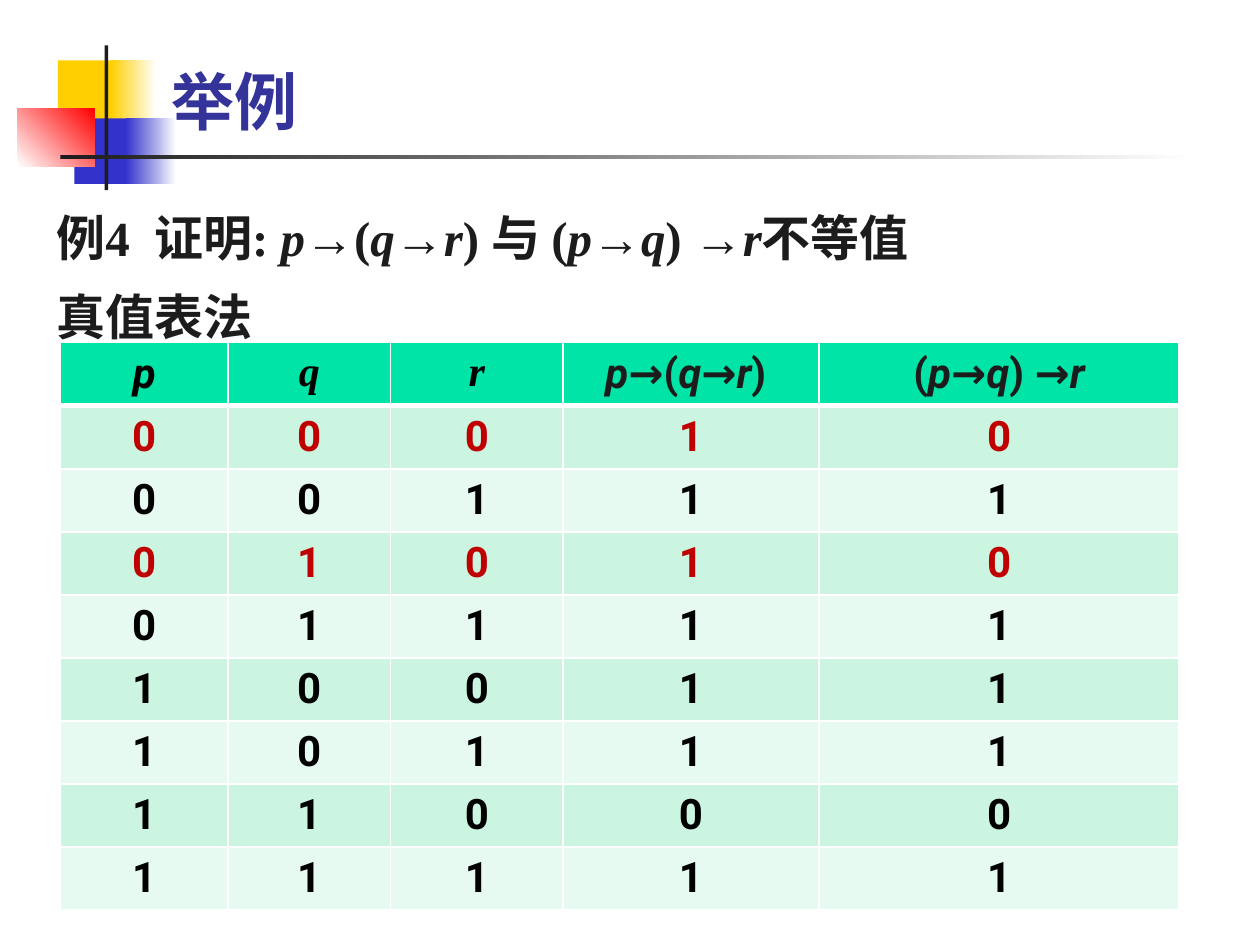
from dataclasses import dataclass
from itertools import groupby, product

from lxml import etree
from pptx import Presentation
from pptx.dml.color import RGBColor
from pptx.enum import shapes, text
from pptx.oxml import ns
from pptx.util import Inches, Pt


@dataclass(frozen=True)
class Theme:
    """Colours, fonts and type sizes of the slide."""
    yellow: str = "FFCF01"
    blue: str = "3333CC"
    red: str = "FF0000"
    white: str = "FFFFFF"
    ink: str = "1C1C1C"
    black: str = "000000"
    heading: str = "333399"
    highlight: str = "C00000"
    header: str = "00E4A8"
    bands: tuple[str, str] = ("CCF5E1", "E7FAF1")
    sans: str = "Roboto"
    serif: str = "Times New Roman"
    title_size: int = 36
    body_size: int = 28
    table_size: int = 24


@dataclass(frozen=True)
class Block:
    """A decorative rectangle, solid or fading to a second colour."""
    left: float
    top: float
    width: float
    height: float
    colour: str
    fade_to: str | None = None
    angle: int = 0


@dataclass(frozen=True)
class Heading:
    """A column of the truth table."""
    formula: str
    width: float
    font: str
    colour: str


THEME = Theme()
VARIABLES = "pqr"
ROW_HEIGHT = 0.49
BLOCKS = (
    Block(0.46, 0.48, 0.48, 0.52, THEME.yellow),
    Block(0.88, 0.48, 0.36, 0.52, THEME.yellow, THEME.white),
    Block(0.59, 0.94, 0.46, 0.52, THEME.blue),
    Block(1.0, 0.94, 0.4, 0.52, THEME.blue, THEME.white),
    Block(0.14, 0.86, 0.61, 0.46, THEME.white, THEME.red, 45),
    Block(0.83, 0.36, 0.03, 1.15, THEME.ink),
    Block(0.48, 1.23, 9, 0.03, THEME.ink, THEME.white),
)
HEADINGS = (
    Heading("p", 1.33, THEME.sans, THEME.black),
    Heading("q", 1.29, THEME.serif, THEME.black),
    Heading("r", 1.37, THEME.serif, THEME.black),
    Heading("p→(q→r) ", 2.03, THEME.sans, THEME.ink),
    Heading("(p→q) →r", 2.86, THEME.sans, THEME.ink),
)
STATEMENTS = ("例4  证明: p→(q→r) 与 (p→q) →r不等值", "真值表法")


def rgb(colour: str) -> RGBColor:
    """Turn a hex string into a colour."""
    return RGBColor.from_string(colour)


def add_formula(paragraph, formula: str, font: str, size: int, colour: str) -> None:
    """Add bold runs, with the propositional variables in italics."""
    for is_variable, letters in groupby(formula, lambda letter: letter in VARIABLES):
        run = paragraph.add_run()
        run.text = "".join(letters)
        run.font.name, run.font.size = font, Pt(size)
        run.font.bold, run.font.italic = True, is_variable
        run.font.color.rgb = rgb(colour)


def draw_block(slide, block: Block) -> None:
    """Draw one decorative rectangle."""
    shape = slide.shapes.add_shape(
        shapes.MSO_SHAPE.RECTANGLE, Inches(block.left), Inches(block.top),
        Inches(block.width), Inches(block.height))
    shape.shadow.inherit = False
    shape.line.fill.background()
    if block.fade_to is None:
        shape.fill.solid()
        shape.fill.fore_color.rgb = rgb(block.colour)
        return
    shape.fill.gradient()
    shape.fill.gradient_angle = block.angle
    for stop, colour in zip(shape.fill.gradient_stops, (block.colour, block.fade_to)):
        stop.color.rgb = rgb(colour)


def draw_title(slide, wording: str) -> None:
    """Place the title in front of the decoration."""
    title = slide.shapes.title
    title.left, title.top = Inches(1.26), Inches(0.08)
    title.width, title.height = Inches(8.52), Inches(1.07)
    frame = title.text_frame
    frame.vertical_anchor = text.MSO_ANCHOR.BOTTOM
    frame.paragraphs[0].alignment = text.PP_ALIGN.LEFT
    add_formula(frame.paragraphs[0], wording, THEME.sans, THEME.title_size, THEME.heading)
    title.element.getparent().append(title.element)


def draw_statements(slide) -> None:
    """Write the claim and the method above the table."""
    frame = slide.shapes.add_textbox(
        Inches(0.35), Inches(1.55), Inches(9.29), Inches(1.5)).text_frame
    frame.word_wrap = True
    for index, statement in enumerate(STATEMENTS):
        paragraph = frame.add_paragraph() if index else frame.paragraphs[0]
        paragraph.line_spacing = 1.1
        properties = paragraph._p.get_or_add_pPr()
        properties.set("marL", str(Inches(0.28)))
        properties.set("indent", str(Inches(-0.28)))
        before = etree.SubElement(properties, ns.qn("a:spcBef"))
        etree.SubElement(before, ns.qn("a:spcPct"), val="30000")
        add_formula(paragraph, statement, THEME.serif, THEME.body_size, THEME.ink)


def style_cell(cell, fill: str, top: int, bottom: int) -> None:
    """Give a cell its white borders, in points, and its fill."""
    properties = cell._tc.get_or_add_tcPr()
    for side, weight in (("L", 1), ("R", 1), ("T", top), ("B", bottom)):
        line = etree.SubElement(properties, ns.qn(f"a:ln{side}"), w=str(Pt(weight)))
        solid = etree.SubElement(line, ns.qn("a:solidFill"))
        etree.SubElement(solid, ns.qn("a:srgbClr"), val=THEME.white)
    cell.fill.solid()
    cell.fill.fore_color.rgb = rgb(fill)
    cell.vertical_anchor = text.MSO_ANCHOR.TOP


def truth_rows() -> list[tuple[int, ...]]:
    """Evaluate both formulas for every assignment of p, q and r."""
    def implies(premise: int, conclusion: int) -> int:
        """Give the truth value of an implication."""
        return int(not premise or conclusion)

    return [(p, q, r, implies(p, implies(q, r)), implies(implies(p, q), r))
            for p, q, r in product((0, 1), repeat=3)]


def draw_truth_table(slide) -> None:
    """Draw the table, marking the rows where the formulas differ."""
    assignments = truth_rows()
    row_count = len(assignments) + 1
    table = slide.shapes.add_table(
        row_count, len(HEADINGS), Inches(0.48), Inches(2.72),
        Inches(sum(heading.width for heading in HEADINGS)),
        Inches(ROW_HEIGHT * row_count)).table
    for row in table.rows:
        row.height = Inches(ROW_HEIGHT)
    for column, heading in enumerate(HEADINGS):
        table.columns[column].width = Inches(heading.width)
        entries = [(heading.formula, heading.font, heading.colour, THEME.header)]
        for index, values in enumerate(assignments):
            colour = THEME.highlight if values[3] != values[4] else THEME.black
            entries.append((str(values[column]), THEME.sans, colour, THEME.bands[index % 2]))
        for row, (wording, font, colour, fill) in enumerate(entries):
            cell = table.cell(row, column)
            style_cell(cell, fill, top=3 if row == 1 else 1, bottom=3 if row == 0 else 1)
            paragraph = cell.text_frame.paragraphs[0]
            paragraph.alignment = text.PP_ALIGN.CENTER
            add_formula(paragraph, wording, font, THEME.table_size, colour)


def main() -> None:
    """Build the slide and save it."""
    deck = Presentation()
    deck.slide_width, deck.slide_height = Inches(10), Inches(7.5)
    slide = deck.slides.add_slide(deck.slide_layouts[5])
    for block in BLOCKS:
        draw_block(slide, block)
    draw_title(slide, "举例")
    draw_statements(slide)
    draw_truth_table(slide)
    deck.save("out.pptx")


main()
